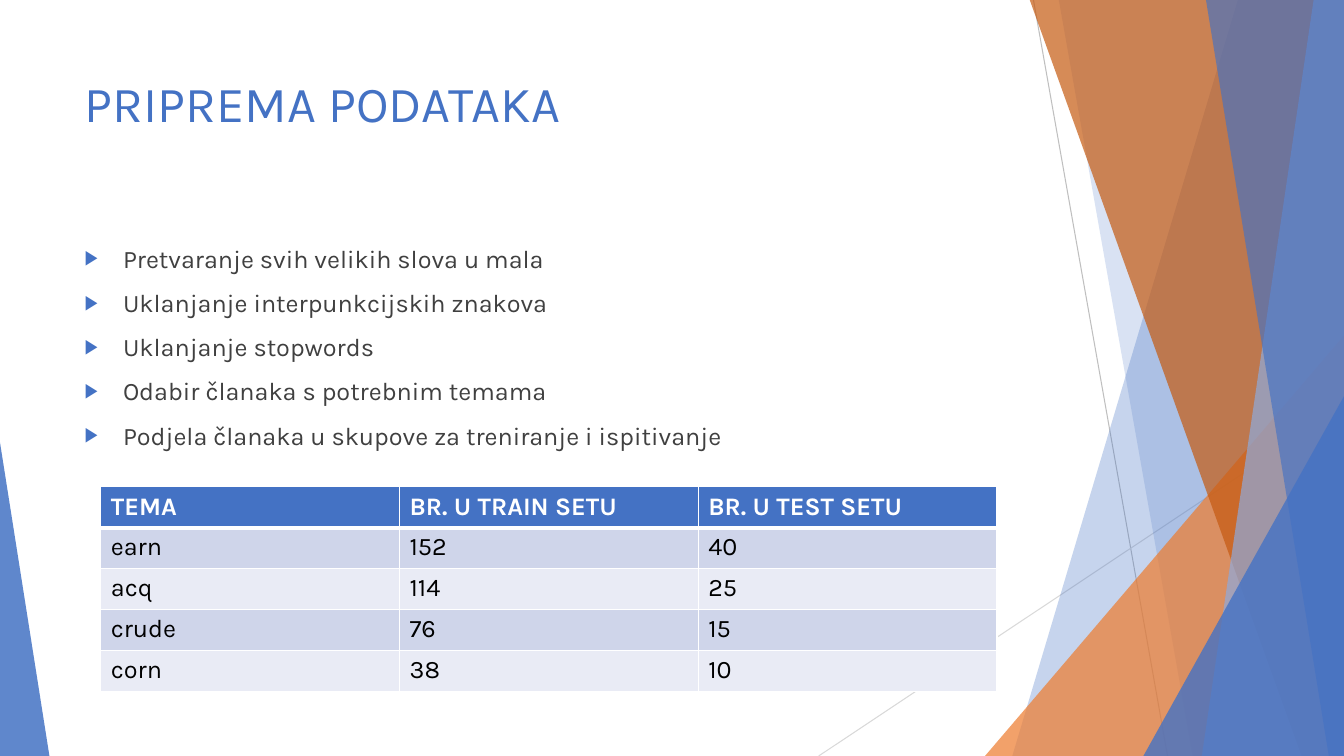
from lxml import etree
from pptx import Presentation
from pptx.dml.color import RGBColor
from pptx.enum.shapes import MSO_CONNECTOR as CONNECTOR, MSO_SHAPE as SHAPE
from pptx.enum.text import MSO_ANCHOR as ANCHOR, MSO_AUTO_SIZE as AUTO_SIZE, PP_ALIGN as ALIGN
from pptx.oxml.ns import qn
from pptx.util import Inches, Pt

FONT = "Karla"
COLORS = {
    "blue": "4472C4", "light blue": "8FAADC", "orange": "ED7D31", "brown": "C55A11",
    "gray": "BFBFBF", "light gray": "D9D9D9", "text": "404040", "black": "000000",
    "white": "FFFFFF", "band dark": "CFD5EA", "band light": "E9EBF5",
}


def add_xml(parent, tag, **attributes):
    return etree.SubElement(parent, qn(tag), attributes)


def paint(shape, color, opacity):
    """Give a decorative shape a translucent fill without line or shadow."""
    shape.shadow.inherit = False
    shape.line.fill.background()
    shape.fill.solid()
    shape.fill.fore_color.rgb = RGBColor.from_string(COLORS[color])
    color_xml = shape._element.spPr.find(qn("a:solidFill"))[0]
    add_xml(color_xml, "a:alpha", val=str(opacity * 1000))


deck = Presentation()
deck.slide_width, deck.slide_height = Inches(13.33), Inches(7.5)
page = deck.slides.add_slide(deck.slide_layouts[1])
shapes = page.shapes
title, body = shapes.title, page.placeholders[1]

# Thin lines behind the ribbons
for x1, y1, x2, y2, color in [
    (10.25, 0, 11.58, 7.5, "gray"),
    (13.33, 4.03, 8.12, 7.5, "light gray"),
]:
    line = shapes.add_connector(
        CONNECTOR.STRAIGHT, Inches(x1), Inches(y1), Inches(x2), Inches(y2))
    line.line.color.rgb = RGBColor.from_string(COLORS[color])
    line.line.width = Pt(0.75)
    add_xml(line._element.spPr, "a:effectLst")

# Ribbons reach the right edge; triangles stand on the bottom edge
decorations = [
    ("ribbon", 12.28, 10.04, "blue", 30),
    ("ribbon", 10.5, 11.83, "blue", 20),
    ("triangle", 9.77, 3.33, 3.56, 1, "orange", 72),
    ("ribbon", 10.21, 12.91, "brown", 70),
    ("ribbon", 13.03, 11.92, "light blue", 70),
    ("ribbon", 11.96, 13.18, "blue", 65),
    ("triangle", 11.34, 3.93, 1.99, 1, "blue", 80),
    ("triangle", 0, 4.39, 0.49, 0, "blue", 85),
]
for kind, *geometry, color, opacity in decorations:
    if kind == "ribbon":
        top_x, bottom_x = geometry
        outline = shapes.build_freeform(Inches(top_x), Inches(-0.01))
        corners = [(13.33, -0.01), (13.33, 7.5), (bottom_x, 7.5)]
        outline.add_line_segments([(Inches(x), Inches(y)) for x, y in corners], close=True)
        shape = outline.convert_to_shape()
    else:
        left, top, width, apex = geometry
        shape = shapes.add_shape(SHAPE.ISOSCELES_TRIANGLE, Inches(left), Inches(top),
                                 Inches(width), Inches(7.5 - top))
        shape.adjustments[0] = apex
    paint(shape, color, opacity)

# Title and list, in front of the decoration
title.text_frame.text = "PRIPREMA PODATAKA"
body.text_frame.text = "\n".join([
    "Pretvaranje svih velikih slova u mala",
    "Uklanjanje interpunkcijskih znakova",
    "Uklanjanje stopwords",
    "Odabir članaka s potrebnim temama",
    "Podjela članaka u skupove za treniranje i ispitivanje",
])
for box, top, height, size, color in [
    (title, 0.67, 1.44, 36, "blue"),
    (body, 2.36, 4.24, 18, "text"),
]:
    shapes._spTree.append(box._element)
    box.left, box.top, box.width, box.height = (
        Inches(0.74), Inches(top), Inches(9.4), Inches(height))
    frame = box.text_frame
    frame.word_wrap = True
    frame.auto_size = AUTO_SIZE.NONE
    frame.vertical_anchor = ANCHOR.TOP
    for para in frame.paragraphs:
        para.alignment = ALIGN.LEFT
        font = para.runs[0].font
        font.name, font.size = FONT, Pt(size)
        font.color.rgb = RGBColor.from_string(COLORS[color])

for para in body.text_frame.paragraphs:
    para.space_before = Pt(10)
    properties = para._p.get_or_add_pPr()
    properties.set("marL", str(Inches(0.38)))
    properties.set("indent", str(Inches(-0.38)))
    add_xml(add_xml(properties, "a:buClr"), "a:srgbClr", val=COLORS["blue"])
    add_xml(properties, "a:buSzPct", val="80000")
    add_xml(properties, "a:buFont", typeface="Arial")
    add_xml(properties, "a:buChar", char="▶")

# Article counts by topic
rows = [
    ("TEMA", "BR. U TRAIN SETU", "BR. U TEST SETU"),
    ("earn", "152", "40"),
    ("acq", "114", "25"),
    ("crude", "76", "15"),
    ("corn", "38", "10"),
]
table = shapes.add_table(len(rows), 3, Inches(1), Inches(4.83),
                         Inches(8.89), Inches(2.03)).table
for r, row in enumerate(rows):
    header = r == 0
    band = "blue" if header else "band dark" if r % 2 else "band light"
    for c, text in enumerate(row):
        cell = table.cell(r, c)
        cell.text_frame.text = text
        font = cell.text_frame.paragraphs[0].runs[0].font
        font.name, font.size, font.bold = FONT, Pt(18), header
        font.color.rgb = RGBColor.from_string(COLORS["white" if header else "black"])
        properties = cell._tc.get_or_add_tcPr()
        for side in "LRTB":
            thick = (r, side) in [(0, "B"), (1, "T")]
            border = add_xml(properties, f"a:ln{side}", w=str(Pt(3 if thick else 1)))
            add_xml(add_xml(border, "a:solidFill"), "a:srgbClr", val=COLORS["white"])
        cell.fill.solid()
        cell.fill.fore_color.rgb = RGBColor.from_string(COLORS[band])

deck.save("out.pptx")
